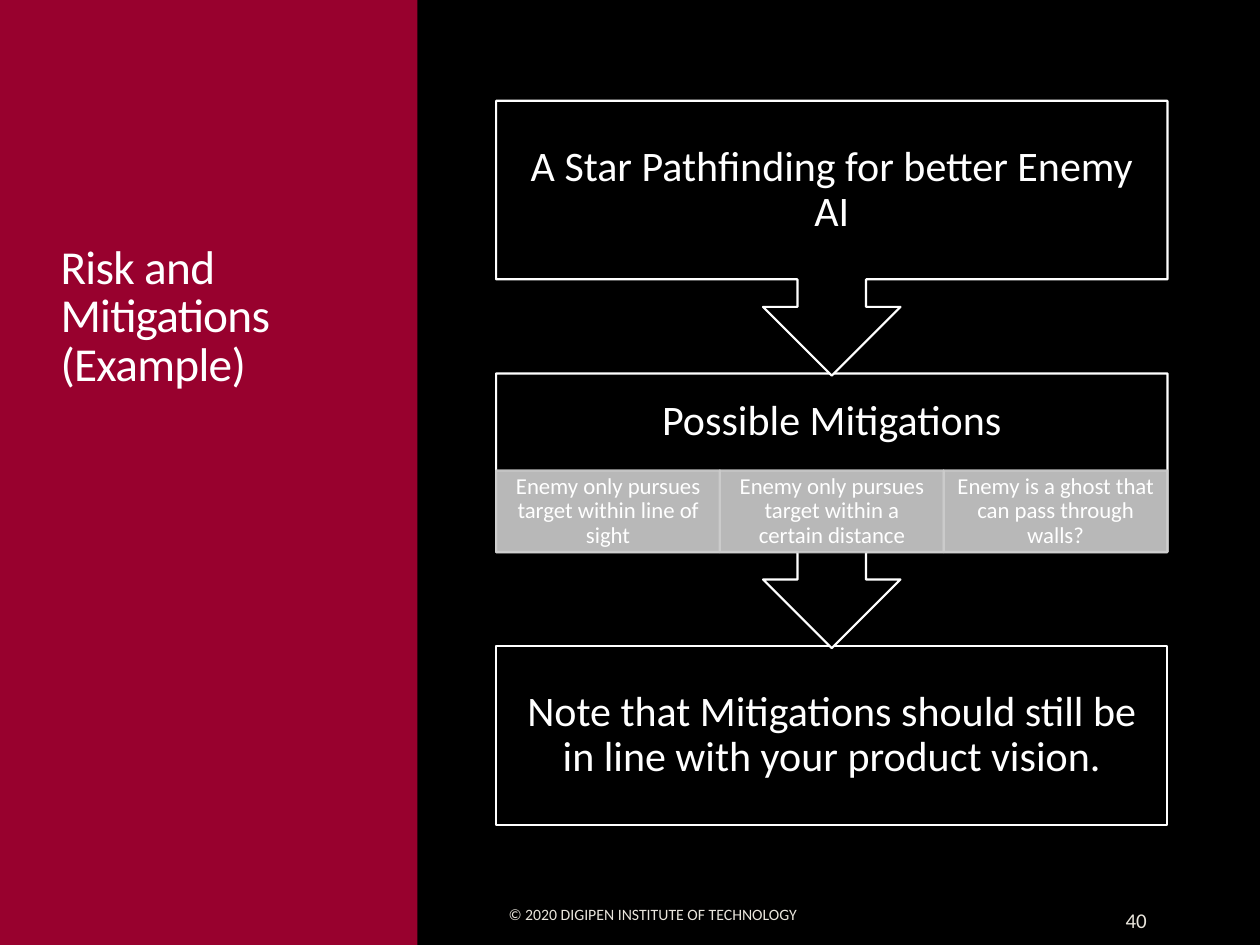
from lxml import etree
from pptx import Presentation
from pptx.dml.color import RGBColor
from pptx.enum import shapes, text
from pptx.oxml.ns import qn
from pptx.util import Pt

KIND = shapes.MSO_SHAPE
ALIGN = text.PP_ALIGN
ANCHOR = text.MSO_ANCHOR


def add_block(page, kind, bounds, fill, line=None):
    """Add a filled preset shape, outlined if a line colour is given."""
    block = page.shapes.add_shape(kind, *map(Pt, bounds))
    block.shadow.inherit = False
    block.fill.solid()
    block.fill.fore_color.rgb = RGBColor.from_string(fill)
    if line:
        block.line.color.rgb = RGBColor.from_string(line)
        block.line.width = Pt(1.25)
    else:
        block.line.fill.background()
    return block


def write(box, words, size, color="FFFFFF", align=ALIGN.CENTER, spacing=1.0,
          anchor=ANCHOR.MIDDLE, insets=(7.2, 3.6, 7.2, 3.6)):
    """Fill a box with one paragraph; insets are left, top, right, bottom."""
    frame = box.text_frame
    frame.word_wrap = True
    frame.vertical_anchor = anchor
    (frame.margin_left, frame.margin_top,
     frame.margin_right, frame.margin_bottom) = map(Pt, insets)
    para = frame.paragraphs[0]
    para.text = words
    para.alignment = align
    para.line_spacing = spacing
    para.font.name = "Calibri"
    para.font.size = Pt(size)
    para.font.color.rgb = RGBColor.from_string(color)
    return para


deck = Presentation()
deck.slide_width, deck.slide_height = Pt(720), Pt(540)
page = deck.slides.add_slide(deck.slide_layouts[6])
page.background.fill.solid()
page.background.fill.fore_color.rgb = RGBColor.from_string("000000")

# Side panel with its edge strip
add_block(page, KIND.RECTANGLE, (0, 0, 239, 540), "98012E")
add_block(page, KIND.RECTANGLE, (238.5, 0, 3.5, 540), "000000")

# Title
title = page.shapes.add_textbox(Pt(27.5), Pt(46.8), Pt(188.6), Pt(180))
para = write(title, "Risk and Mitigations (Example)", 27, align=ALIGN.LEFT,
             spacing=0.85, anchor=ANCHOR.BOTTOM)
para.runs[0].font._element.set("spc", "-40")

# Footer and page number
footer = page.shapes.add_textbox(Pt(283.5), Pt(508.3), Pt(274.3), Pt(28.8))
write(footer, "© 2020 DIGIPEN INSTITUTE OF TECHNOLOGY", 9, "E9E5DC", ALIGN.LEFT)
number = page.shapes.add_textbox(Pt(584.6), Pt(511.2), Pt(77.8), Pt(28.8))
write(number, "40", 12, "E9E5DC", ALIGN.RIGHT)

# Flow of three steps, drawn from the bottom up so each arrow tip stays on top
LEFT, TOP, WIDTH, PITCH = 283.5, 57.6, 383.6, 155.8
BOX_HEIGHT, CALLOUT_HEIGHT = 102.2, 157
CELL_HEIGHT, INSET = 46.8, 13.7
steps = [
    ("A Star Pathfinding for better Enemy AI", []),
    ("Possible Mitigations", [
        "Enemy only pursues target within line of sight",
        "Enemy only pursues target within a certain distance",
        "Enemy is a ghost that can pass through walls?",
    ]),
    ("Note that Mitigations should still be in line with your product vision.", []),
]
for row, (heading, options) in reversed(list(enumerate(steps))):
    top = TOP + row * PITCH
    last = row == len(steps) - 1
    kind = KIND.RECTANGLE if last else KIND.DOWN_ARROW_CALLOUT
    height = BOX_HEIGHT if last else CALLOUT_HEIGHT
    step = add_block(page, kind, (LEFT, top, WIDTH, height), "000000", "FFFFFF")
    bottom = INSET + (CELL_HEIGHT if options else 0)
    write(step, heading, 24, spacing=0.9, insets=(INSET, INSET, INSET, bottom))

    # Translucent option cells along the foot of the step
    for column, option in enumerate(options):
        cell_width = WIDTH / len(options)
        bounds = (LEFT + column * cell_width, top + BOX_HEIGHT - CELL_HEIGHT,
                  cell_width, CELL_HEIGHT)
        cell = add_block(page, KIND.RECTANGLE, bounds, "CCCCCC", "CCCCCC")
        for color in cell._element.spPr.iter(qn("a:srgbClr")):
            etree.SubElement(color, qn("a:alpha")).set("val", "90000")
        write(cell, option, 13, spacing=0.9, insets=(7.2, 1.4, 7.2, 1.4))

deck.save("out.pptx")
